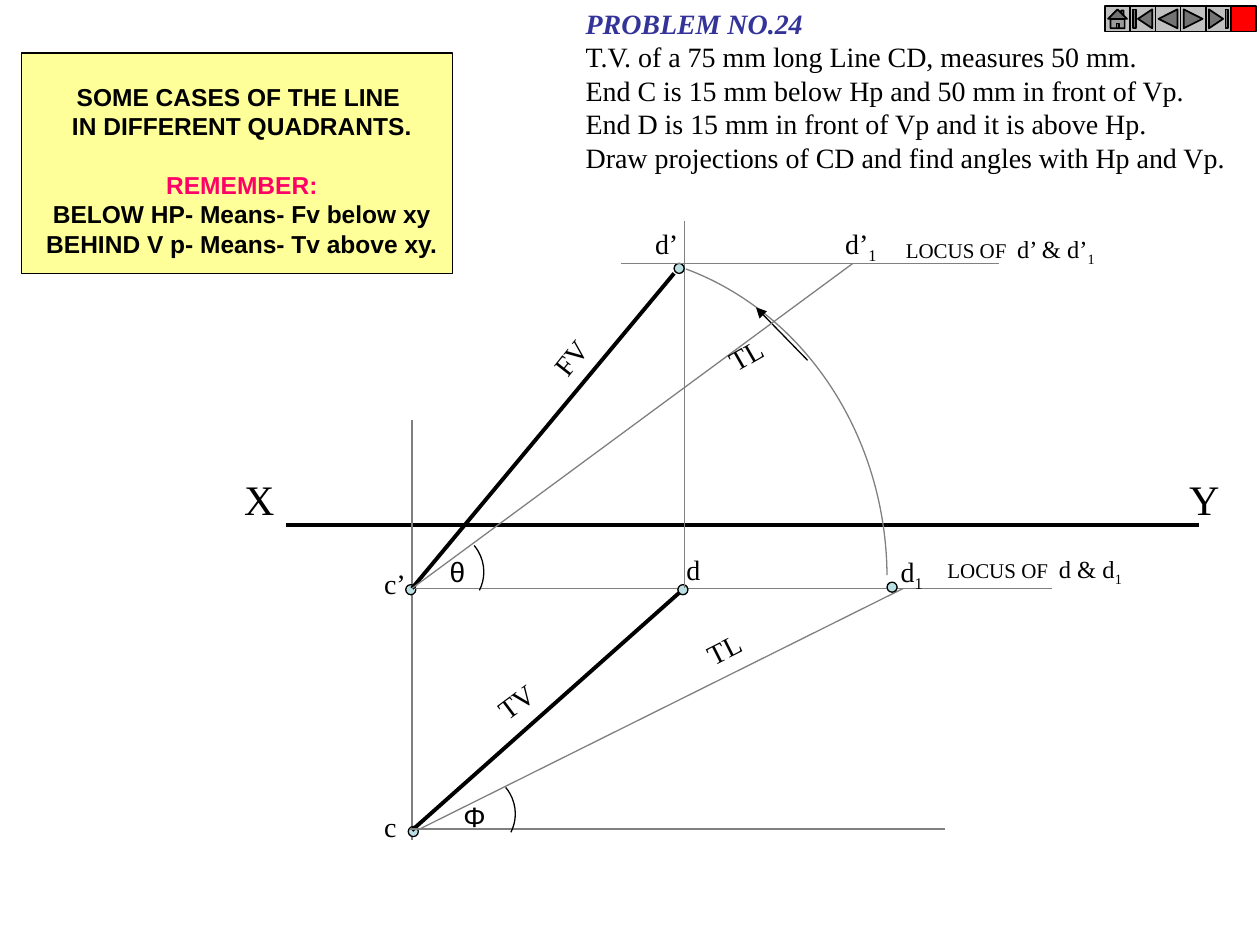
from lxml import etree
from pptx import Presentation
from pptx.dml.color import RGBColor
from pptx.enum.shapes import MSO_CONNECTOR, MSO_SHAPE
from pptx.enum.text import MSO_AUTO_SIZE, PP_ALIGN
from pptx.oxml.ns import qn
from pptx.util import Inches, Pt

BLACK = RGBColor(0x00, 0x00, 0x00)
GREY = RGBColor(0x80, 0x80, 0x80)
SILVER = RGBColor(0xC0, 0xC0, 0xC0)
RED = RGBColor(0xFF, 0x00, 0x00)
PINK = RGBColor(0xFF, 0x00, 0x66)
NAVY = RGBColor(0x33, 0x33, 0x99)
YELLOW = RGBColor(0xFF, 0xFF, 0x99)
PALE_BLUE = RGBColor(0xBB, 0xE0, 0xE3)
SERIF, SANS = "Times New Roman", "Arial"
THIN, THICK = 0.75, 2.25

PROBLEM = [
    "PROBLEM NO.24",
    "T.V. of a 75 mm long Line CD, measures 50 mm.",
    "End C is 15 mm below Hp and 50 mm in front of Vp.",
    "End D is 15 mm in front of Vp and it is above Hp.",
    "Draw projections of CD and find angles with Hp and Vp.",
]
RULES = [
    "SOME CASES OF THE LINE ",
    "IN DIFFERENT QUADRANTS.",
    "REMEMBER:",
    "BELOW HP- Means- Fv below xy",
    "BEHIND V p- Means- Tv above xy.",
]
LABELS = [
    ("X", 1.84, 3.71, 0.46, 24, SERIF),
    ("Y", 9.34, 3.71, 0.46, 24, SERIF),
    ("c’", 2.95, 4.45, 0.4, 16, SERIF),
    ("c", 2.95, 6.38, 0.33, 16, SERIF),
    ("d", 5.35, 4.34, 0.34, 16, SERIF),
    ("d’", 5.1, 1.75, 0.42, 16, SERIF),
    ("θ", 3.47, 4.35, 0.34, 16, SANS),
    ("Φ", 3.58, 6.3, 0.4, 16, SANS),
]
LINE_NAMES = [
    ("TV", 3.83, 5.33, 323.2),
    ("FV", 4.25, 2.58, 308.3),
    ("TL", 5.5, 4.92, 333.2),
    ("TL", 5.67, 2.58, 330.1),
]
SUBSCRIPTED = [
    ([("d", 16)], 7.05, 4.35, 0.42, 0.41),
    ([("d’", 16)], 6.61, 1.75, 0.5, 0.41),
    ([("LOCUS OF", 12), (" ", 24), ("d & d", 14)], 7.42, 4.21, 1.65, 0.51),
    ([("LOCUS OF", 12), (" ", 24), ("d’ & d’", 14)], 7.09, 1.67, 1.78, 0.51),
]
BUTTONS = [
    (MSO_SHAPE.ACTION_BUTTON_HOME, SILVER),
    (MSO_SHAPE.ACTION_BUTTON_BEGINNING, SILVER),
    (MSO_SHAPE.ACTION_BUTTON_BACK_OR_PREVIOUS, SILVER),
    (MSO_SHAPE.ACTION_BUTTON_FORWARD_OR_NEXT, SILVER),
    (MSO_SHAPE.ACTION_BUTTON_END, SILVER),
    (MSO_SHAPE.ACTION_BUTTON_CUSTOM, RED),
]


def add_shape(page, kind, left, top, width, height, fill, line=BLACK, weight=THIN):
    shape = page.shapes.add_shape(
        kind, Inches(left), Inches(top), Inches(width), Inches(height))
    shape.shadow.inherit = False
    if fill is None:
        shape.fill.background()
    else:
        shape.fill.solid()
        shape.fill.fore_color.rgb = fill
    shape.line.color.rgb = line
    shape.line.width = Pt(weight)
    return shape


def add_point(page, left, top):
    add_shape(page, MSO_SHAPE.OVAL, left, top, 0.08, 0.08, PALE_BLUE)


def add_arc(page, left, top, width, height, start, end, color=BLACK):
    """Draw a clockwise arc between two angles in degrees."""
    arc = add_shape(page, MSO_SHAPE.ARC, left, top, width, height, None, color)
    for index, degrees in enumerate((start, end)):
        arc.adjustments[index] = degrees * 0.6


def add_line(page, x1, y1, x2, y2, color=GREY, weight=THIN, arrow=False):
    line = page.shapes.add_connector(
        MSO_CONNECTOR.STRAIGHT, Inches(x1), Inches(y1), Inches(x2), Inches(y2))
    line.line.color.rgb = color
    line.line.width = Pt(weight)
    properties = line.element.spPr
    if arrow:
        etree.SubElement(properties.find(qn("a:ln")), qn("a:tailEnd"), type="triangle")
    etree.SubElement(properties, qn("a:effectLst"))


def add_text(page, lines, left, top, width, height, size, font=SERIF, wrap=False):
    box = page.shapes.add_textbox(
        Inches(left), Inches(top), Inches(width), Inches(height))
    frame = box.text_frame
    frame.word_wrap = wrap
    frame.auto_size = MSO_AUTO_SIZE.SHAPE_TO_FIT_TEXT
    frame.text = "\n".join(lines)
    for para in frame.paragraphs:
        para.font.name = font
        para.font.size = Pt(size)
        para.font.color.rgb = BLACK
    return box


def add_subscripted(page, parts, left, top, width, height):
    """Write runs of (text, size) followed by a subscript 1."""
    last_size = parts[-1][1]
    box = add_text(page, [""], left, top, width, height, last_size)
    para = box.text_frame.paragraphs[0]
    for text, size in parts + [("1", last_size)]:
        span = para.add_run()
        span.text = text
        span.font.size = Pt(size)
    span._r.get_or_add_rPr().set("baseline", "-25000")


def add_drawing(page):
    add_line(page, 2.27, 4.17, 9.52, 4.17, BLACK, THICK)
    add_line(page, 3.27, 3.33, 3.27, 6.67)
    add_point(page, 3.22, 4.64)
    add_point(page, 3.24, 6.56)
    add_line(page, 3.27, 4.67, 8.35, 4.67)
    add_line(page, 3.27, 6.59, 5.43, 4.67, BLACK, THICK)
    add_point(page, 5.38, 4.64)
    add_line(page, 3.33, 6.58, 7.17, 4.67)
    add_point(page, 7.04, 4.62)
    add_line(page, 5.43, 4.67, 5.43, 1.75)
    add_point(page, 5.35, 2.09)
    add_line(page, 5.35, 2.17, 3.27, 4.67, BLACK, THICK)
    add_arc(page, 2.35, 2, 4.69, 5.17, 287, 359.5, GREY)
    add_line(page, 6.41, 2.86, 6, 2.44, BLACK, arrow=True)
    add_line(page, 4.93, 2.09, 7.93, 2.09)
    add_line(page, 3.27, 4.67, 6.77, 2.09)
    add_line(page, 3.25, 6.58, 7.5, 6.58)
    for left, top in ((3.17, 4.21), (3.42, 6.13)):
        add_arc(page, left, top, 0.67, 0.66, 321, 26)


def add_labels(page):
    for text, left, top, width, size, font in LABELS:
        height = 0.5 if size == 24 else 0.37
        add_text(page, [text], left, top, width, height, size, font)
    for text, left, top, angle in LINE_NAMES:
        add_text(page, [text], left, top, 0.68, 0.37, 16, wrap=True).rotation = angle
    for label in SUBSCRIPTED:
        add_subscripted(page, *label)


def add_problem(page):
    box = add_text(page, PROBLEM, 4.55, 0, 5.3, 1.44, 16)
    title = box.text_frame.paragraphs[0].font
    title.bold = title.italic = True
    title.color.rgb = NAVY


def add_rules(page):
    add_shape(page, MSO_SHAPE.RECTANGLE, 0.17, 0.42, 3.42, 1.75, YELLOW)
    box = add_text(page, RULES, 0.25, 0.6, 3.34, 1.5, 14, SANS)
    for para in box.text_frame.paragraphs:
        para.alignment = PP_ALIGN.CENTER
        para.font.bold = True
    reminder = box.text_frame.paragraphs[2]
    reminder.space_before = Pt(16.8)
    reminder.font.color.rgb = PINK


def add_buttons(page):
    for index, (kind, fill) in enumerate(BUTTONS):
        add_shape(page, kind, 8.77 + 0.2 * index, 0.05, 0.2, 0.2, fill, weight=1)


def main():
    deck = Presentation()
    deck.slide_width, deck.slide_height = Inches(10), Inches(7.5)
    page = deck.slides.add_slide(deck.slide_layouts[6])
    add_rules(page)
    add_drawing(page)
    add_labels(page)
    add_problem(page)
    add_buttons(page)
    deck.save("out.pptx")


if __name__ == "__main__":
    main()
